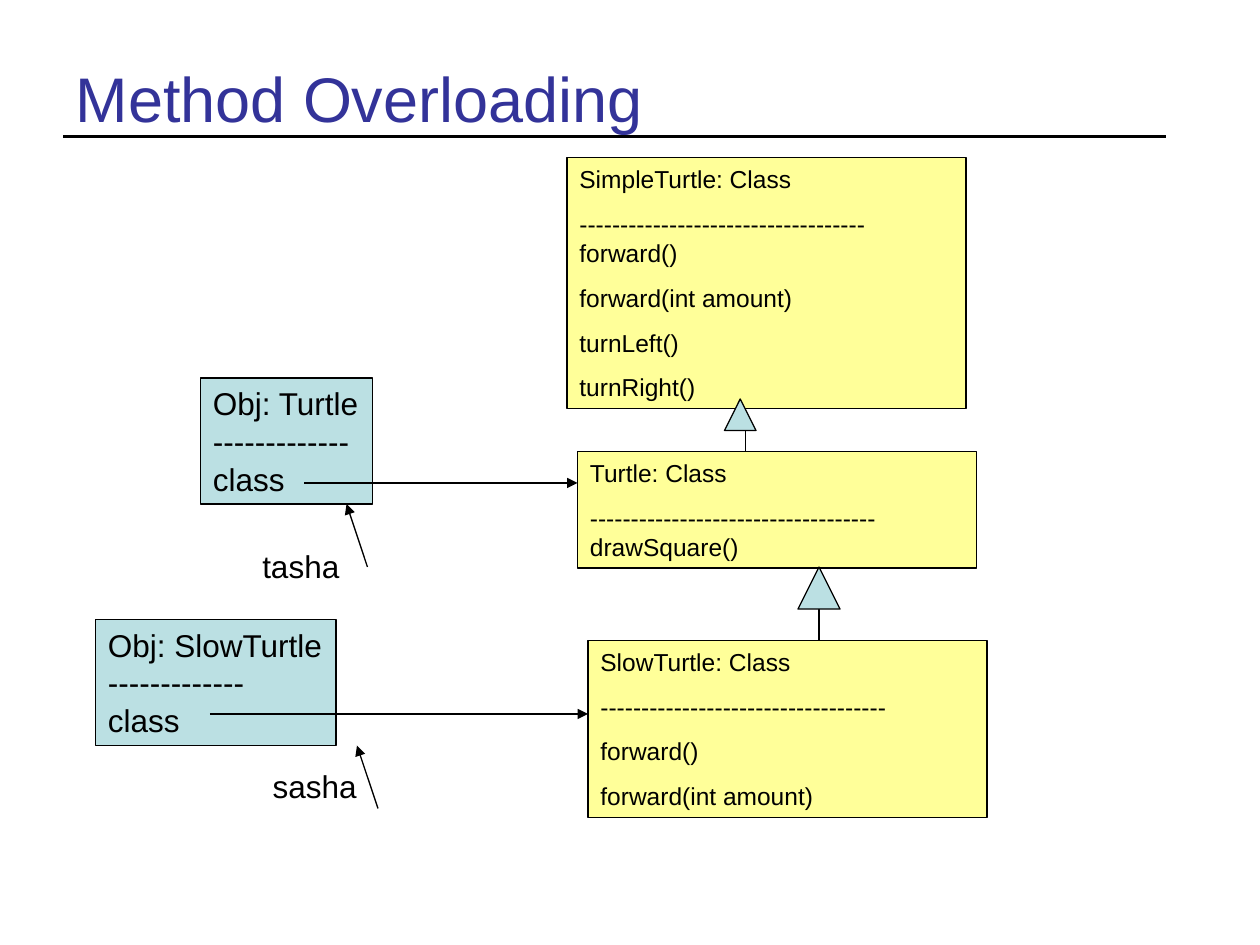
"""Builds a slide of turtle classes and the objects made from them."""
from lxml.etree import SubElement
from pptx import Presentation
from pptx.dml.color import RGBColor
from pptx.enum.shapes import MSO_CONNECTOR, MSO_SHAPE
from pptx.enum.text import MSO_ANCHOR, MSO_AUTO_SIZE, PP_ALIGN
from pptx.oxml.ns import qn
from pptx.util import Inches, Pt

COLORS = {"ink": "000000", "title": "333399", "class": "FFFF99", "object": "BBE0E3"}
FONT = "Arial"
UNIT = 1 / 12
RULE = "-" * 35
DASH = "-" * 13


def grid(*cells):
    return [Inches(cell * UNIT) for cell in cells]


def color(name):
    return RGBColor.from_string(COLORS[name])


def write(frame, lines, size=18, ink="ink", before=0, wrap=True,
          anchor=MSO_ANCHOR.TOP, fit=MSO_AUTO_SIZE.SHAPE_TO_FIT_TEXT):
    frame.auto_size = fit
    frame.word_wrap = wrap
    frame.vertical_anchor = anchor
    for index, line in enumerate(lines):
        para = frame.paragraphs[0] if index == 0 else frame.add_paragraph()
        para.alignment = PP_ALIGN.LEFT
        para.space_before = Pt(before)
        run = para.add_run()
        run.text = line
        run.font.name = FONT
        run.font.size = Pt(size)
        run.font.color.rgb = color(ink)


class Board:
    def __init__(self, deck):
        self.slide = deck.slides.add_slide(deck.slide_layouts[5])
        self.shapes = self.slide.shapes

    def title(self, text, left, top, width, height):
        head = self.shapes.title
        head.left, head.top, head.width, head.height = grid(left, top, width, height)
        write(head.text_frame, [text], size=36, ink="title",
              anchor=MSO_ANCHOR.MIDDLE, fit=MSO_AUTO_SIZE.NONE)

    def line(self, start, end, weight=0.74, arrow=False):
        link = self.shapes.add_connector(MSO_CONNECTOR.STRAIGHT, *grid(*start, *end))
        link.line.color.rgb = color("ink")
        link.line.width = Pt(weight)
        props = link.element.spPr
        if arrow:
            SubElement(props.find(qn("a:ln")), qn("a:tailEnd"), type="triangle")
        SubElement(props, qn("a:effectLst"))

    def shape(self, kind, fill, *place):
        form = self.shapes.add_shape(kind, *grid(*place))
        form.shadow.inherit = False
        form.fill.solid()
        form.fill.fore_color.rgb = color(fill)
        form.line.color.rgb = color("ink")
        form.line.width = Pt(0.74)
        return form

    def class_box(self, left, top, height, *lines):
        box = self.shape(MSO_SHAPE.RECTANGLE, "class", left, top, 38, height)
        write(box.text_frame, lines, size=14, before=8.8)

    def object_box(self, left, top, width, name):
        box = self.shape(MSO_SHAPE.RECTANGLE, "object", left, top, width, 12)
        write(box.text_frame, [f"Obj: {name}", DASH, "class"], wrap=False)

    def label(self, text, left, top, width):
        box = self.shapes.add_textbox(*grid(left, top, width, 4.85))
        write(box.text_frame, [text], wrap=False)

    def pointer(self, left, top):
        self.line((left + 2, top + 6), (left, top), arrow=True)

    def head(self, left, top, size):
        self.shape(MSO_SHAPE.ISOSCELES_TRIANGLE, "object", left, top, size, size)


deck = Presentation()
deck.slide_width, deck.slide_height = grid(120, 90)
board = Board(deck)

board.line((6, 13), (111, 13), weight=1.5)
board.title("Method Overloading", 6, 3.6, 108, 11.4)

board.class_box(56, 61, 16.85, "SlowTurtle: Class", RULE, "forward()",
                "forward(int amount)")
board.label("sasha", 24.8, 72.5, 10.6)
board.pointer(34, 71)

board.class_box(55, 43, 11.1, "Turtle: Class", RULE + "drawSquare()")
board.label("tasha", 23.8, 51.5, 9.9)
board.pointer(33, 48)
board.line((78, 61), (78, 58))
board.head(76, 54, 4)

board.class_box(54, 15, 23.9, "SimpleTurtle: Class", RULE + "forward()",
                "forward(int amount)", "turnLeft()", "turnRight()")
board.head(69, 38, 3)
board.line((71, 41), (71, 43))

board.object_box(19.1, 36, 16.35, "Turtle")
board.line((29, 46), (55, 46), arrow=True)
board.object_box(9.1, 59, 22.9, "SlowTurtle")
board.line((20, 68), (56, 68), arrow=True)

deck.save("out.pptx")
